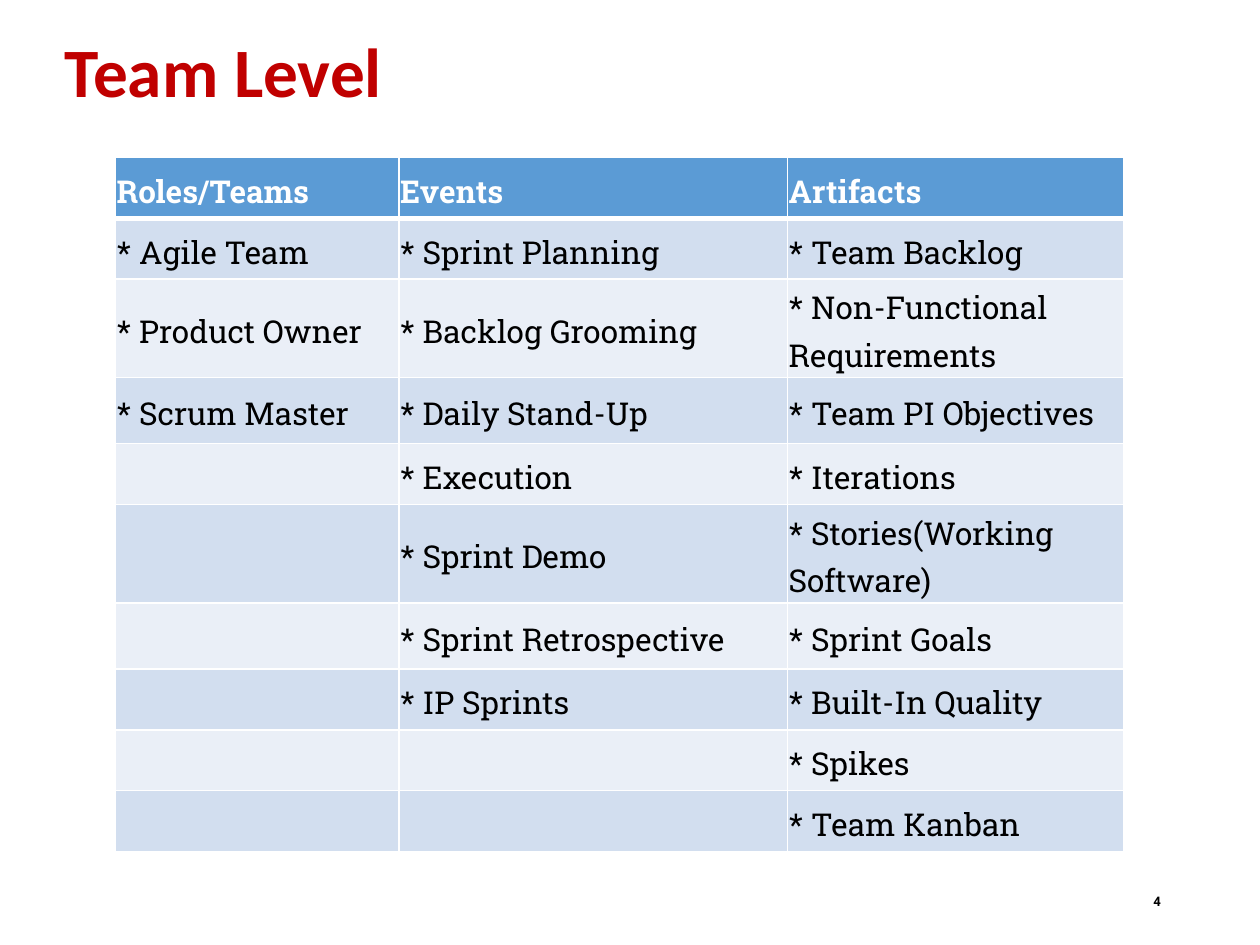
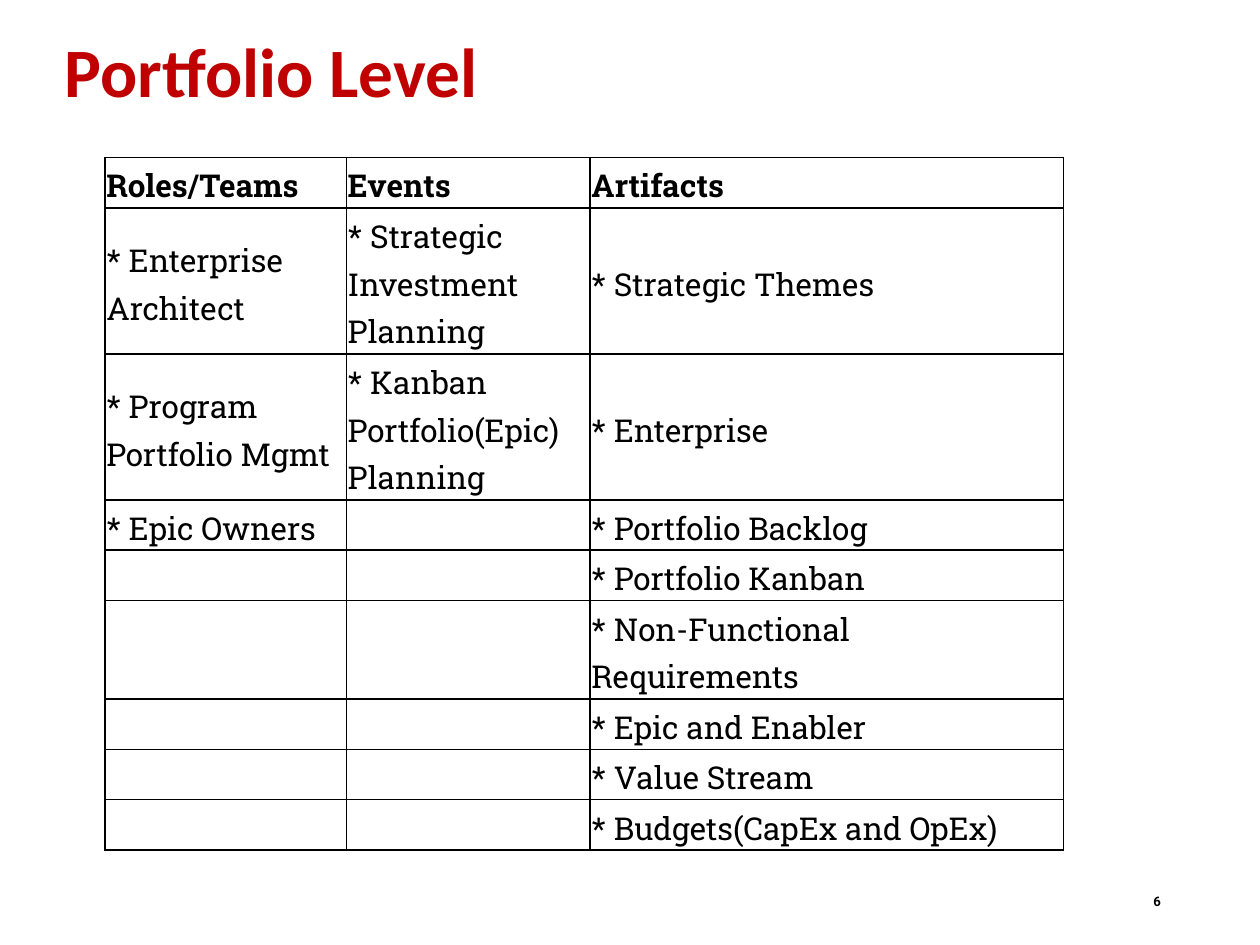
from dataclasses import dataclass
from itertools import zip_longest

from lxml import etree
from pptx import Presentation
from pptx.dml.color import RGBColor
from pptx.enum.text import MSO_ANCHOR, PP_ALIGN
from pptx.oxml.ns import qn
from pptx.util import Inches, Length, Pt

MIDDLE = MSO_ANCHOR.MIDDLE
LEFT, RIGHT = PP_ALIGN.LEFT, PP_ALIGN.RIGHT

# Colours and fonts
RED = RGBColor(0xC0, 0x00, 0x00)
BLACK = RGBColor(0x00, 0x00, 0x00)
WHITE = RGBColor(0xFF, 0xFF, 0xFF)
BLUE = RGBColor(0x5B, 0x9B, 0xD5)
BAND_DARK = RGBColor(0xD2, 0xDE, 0xEF)
BAND_LIGHT = RGBColor(0xEA, 0xEF, 0xF7)
TITLE_FONT, NUMBER_FONT, TABLE_FONT = "Calibri", "Roboto", "Roboto Slab"

# The slide is a grid of 120 columns by 90 rows
SLIDE_WIDTH, SLIDE_HEIGHT = Inches(10), Inches(7.5)
GRID_COLUMNS, GRID_ROWS = 120, 90
TABLE_TOP = 15
CELL_INSET = Inches(0.01)
HEADERS = ["Roles/Teams", "Events", "Artifacts"]


@dataclass(frozen=True)
class TextStyle:
    font: str
    size: float
    color: RGBColor
    bold: bool = True
    align: PP_ALIGN = LEFT
    line_spacing: float = 1.0


@dataclass(frozen=True)
class TextArea:
    left: float
    top: float
    width: float
    height: float
    style: TextStyle


@dataclass(frozen=True)
class TableLook:
    header_text: RGBColor
    line: RGBColor
    header_line_width: float
    header_fill: RGBColor | None = None
    bands: tuple[RGBColor | None, ...] = (None,)


@dataclass(frozen=True)
class Level:
    title: str
    number: int
    look: TableLook
    left: float
    column_widths: list[float]
    row_heights: list[float]
    columns: list[list[str]]


TITLE = TextArea(5, 4, 109, 6.25, TextStyle(TITLE_FONT, 39.6, RED, line_spacing=0.9))
NUMBER = TextArea(104.75, 83.4, 7, 4.8, TextStyle(NUMBER_FONT, 7.5, BLACK, align=RIGHT))
BANDED = TableLook(WHITE, WHITE, 3, BLUE, (BAND_DARK, BAND_LIGHT))
PLAIN = TableLook(BLACK, BLACK, 1)

LEVELS = [
    Level(
        "Team Level", 4, BANDED, 11, [27, 37, 32],
        [5.8, 5.8, 9.36, 6.3, 5.8, 9.36, 6.3, 5.8, 5.8, 5.8],
        [
            ["Agile Team", "Product Owner", "Scrum Master"],
            ["Sprint Planning", "Backlog Grooming", "Daily Stand-Up", "Execution",
             "Sprint Demo", "Sprint Retrospective", "IP Sprints"],
            ["Team Backlog", "Non-Functional Requirements", "Team PI Objectives",
             "Iterations", "Stories(Working Software)", "Sprint Goals",
             "Built-In Quality", "Spikes", "Team Kanban"],
        ],
    ),
    Level(
        "Portfolio Level", 6, PLAIN, 10, [23, 23.2, 45.1],
        [4.8, 13.9, 13.9, 4.8, 4.8, 9.36, 4.8, 4.8, 4.8],
        [
            ["Enterprise Architect", "Program Portfolio Mgmt", "Epic Owners"],
            ["Strategic Investment Planning", "Kanban Portfolio(Epic) Planning"],
            ["Strategic Themes", "Enterprise", "Portfolio Backlog", "Portfolio Kanban",
             "Non-Functional Requirements", "Epic and Enabler", "Value Stream",
             "Budgets(CapEx and OpEx)"],
        ],
    ),
]


def across(columns: float) -> Length:
    return Length(round(SLIDE_WIDTH * columns / GRID_COLUMNS))


def down(rows: float) -> Length:
    return Length(round(SLIDE_HEIGHT * rows / GRID_ROWS))


def write(paragraph, text: str, style: TextStyle) -> None:
    paragraph.text = text
    paragraph.alignment = style.align
    paragraph.line_spacing = style.line_spacing
    font = paragraph.font
    font.name, font.size, font.bold = style.font, Pt(style.size), style.bold
    font.color.rgb = style.color


def add_text(slide, area: TextArea, text: str) -> None:
    box = slide.shapes.add_textbox(
        across(area.left), down(area.top), across(area.width), down(area.height))
    box.text_frame.word_wrap = True
    box.text_frame.vertical_anchor = MIDDLE
    write(box.text_frame.paragraphs[0], text, area.style)


def set_borders(cell, color: RGBColor, widths: dict[str, float]) -> None:
    """Border lines come before the fill in the cell properties."""
    properties = cell._tc.get_or_add_tcPr()
    for position, side in enumerate("LRTB"):
        line = etree.Element(qn(f"a:ln{side}"), w=str(Pt(widths.get(side, 1))))
        fill = etree.SubElement(line, qn("a:solidFill"))
        etree.SubElement(fill, qn("a:srgbClr"), val=str(color))
        properties.insert(position, line)


def format_cell(cell, text: str, row: int, look: TableLook) -> None:
    is_header = row == 0
    cell.margin_left = cell.margin_right = CELL_INSET
    cell.margin_top = cell.margin_bottom = CELL_INSET
    cell.vertical_anchor = MIDDLE
    color = look.header_text if is_header else BLACK
    write(cell.text_frame.paragraphs[0], text,
          TextStyle(TABLE_FONT, 18, color, is_header, line_spacing=1.15))

    fill = look.header_fill if is_header else look.bands[(row - 1) % len(look.bands)]
    if fill is None:
        cell.fill.background()
    else:
        cell.fill.solid()
        cell.fill.fore_color.rgb = fill

    # The line under the header belongs to the first two rows
    header_side = {0: "B", 1: "T"}.get(row)
    set_borders(cell, look.line,
                {header_side: look.header_line_width} if header_side else {})


def add_level_table(slide, level: Level) -> None:
    items = [[f"* {item}" for item in column] for column in level.columns]
    rows = [HEADERS, *zip_longest(*items, fillvalue="")]
    table = slide.shapes.add_table(
        len(rows), len(HEADERS), across(level.left), down(TABLE_TOP),
        across(sum(level.column_widths)), down(sum(level.row_heights))).table
    table.first_row = table.horz_banding = False
    for column, width in zip(table.columns, level.column_widths):
        column.width = across(width)
    for table_row, height in zip(table.rows, level.row_heights):
        table_row.height = down(height)
    for row, texts in enumerate(rows):
        for column, text in enumerate(texts):
            format_cell(table.cell(row, column), text, row, level.look)


def main() -> None:
    presentation = Presentation()
    presentation.slide_width, presentation.slide_height = SLIDE_WIDTH, SLIDE_HEIGHT
    blank_layout = presentation.slide_layouts[6]
    for level in LEVELS:
        slide = presentation.slides.add_slide(blank_layout)
        add_text(slide, TITLE, level.title)
        add_text(slide, NUMBER, str(level.number))
        add_level_table(slide, level)
    presentation.save("out.pptx")


if __name__ == "__main__":
    main()
